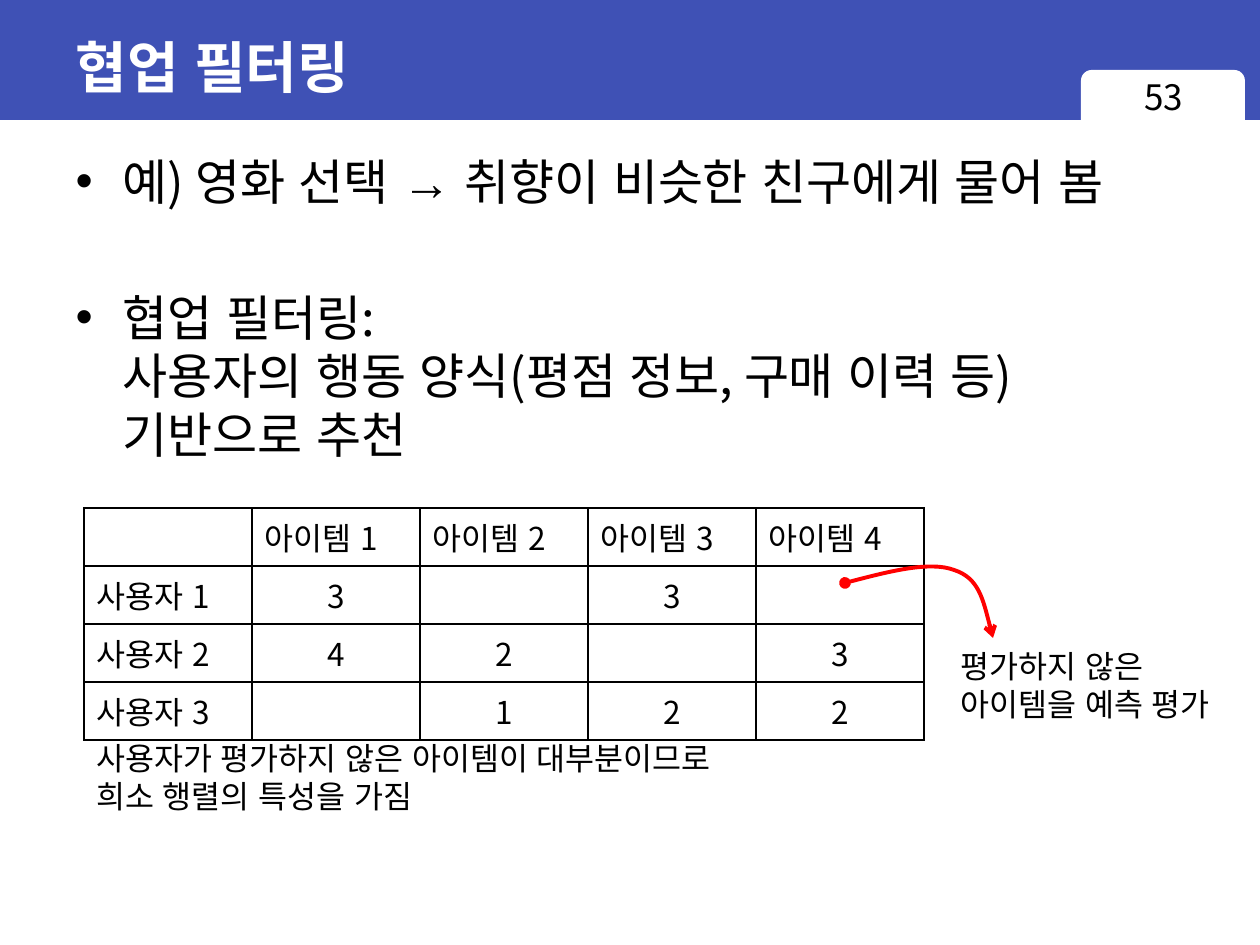
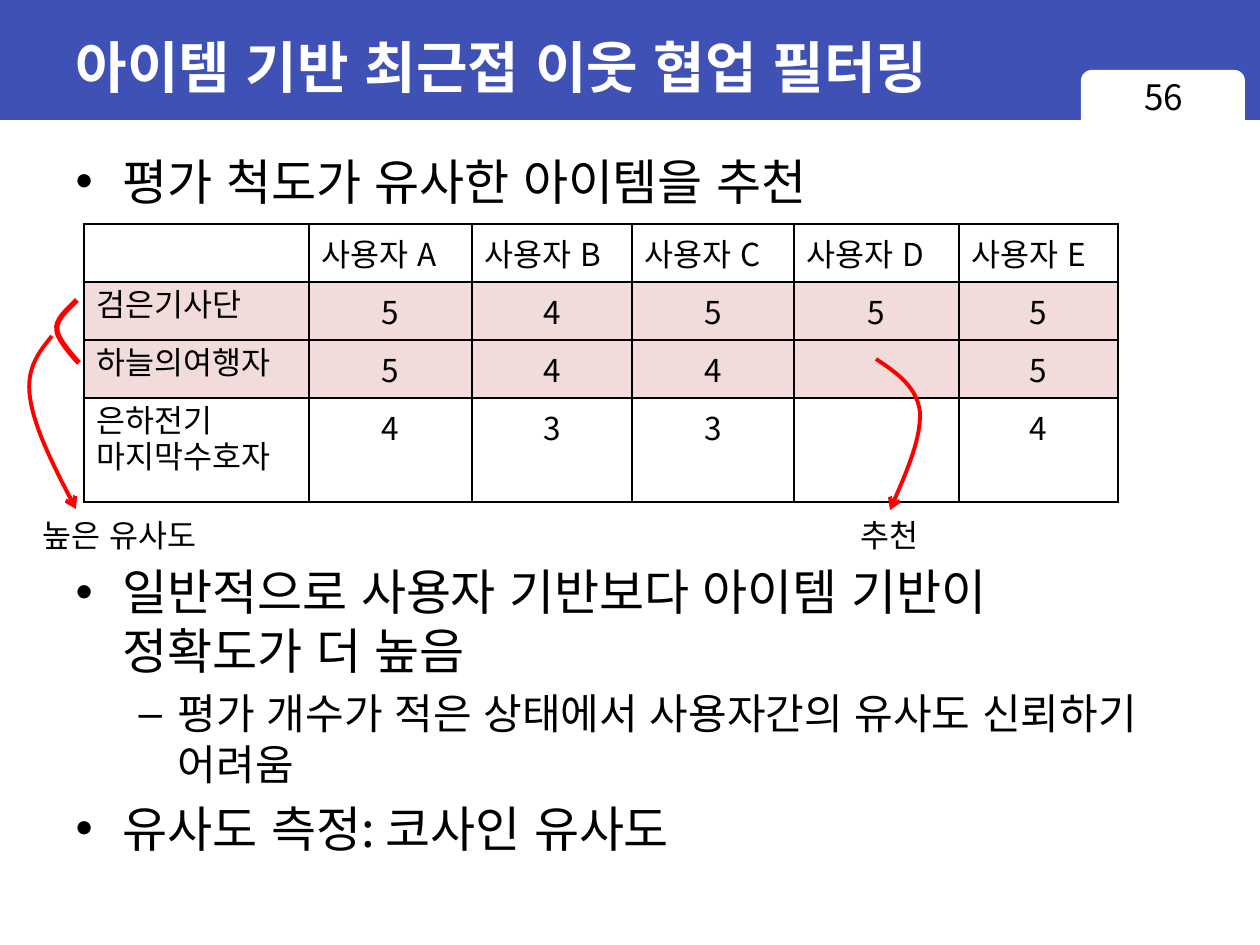
from dataclasses import dataclass, field

from lxml.etree import SubElement
from pptx import Presentation
from pptx.dml.color import RGBColor
from pptx.enum.shapes import MSO_SHAPE as Shape
from pptx.enum.text import MSO_AUTO_SIZE as AutoSize
from pptx.enum.text import PP_ALIGN as Align
from pptx.oxml.ns import qn
from pptx.util import Emu, Pt

# Shared look
SCALE = 914400 / 126
LATIN, EAST_ASIAN = "Noto Sans CJK KR", "Arial"
INDIGO, WHITE, BLACK, RED, PINK = "3F51B5", "FFFFFF", "000000", "FF0000", "F2DCDB"
TITLE = {"size": Pt(32), "bold": True, "name": "Arial"}
BULLET = {"size": Pt(28), "name": LATIN}
SUB_BULLET = {"size": Pt(24), "name": LATIN}
LABEL = {"size": Pt(18), "name": LATIN}
NUMBER = {"size": Pt(20), "name": LATIN}
ROW_HEIGHT = 58
TABLE_LEFT = 84


@dataclass
class Item:
    text: str
    level: int = 0
    gap: float | None = None


@dataclass
class Note:
    text: str
    left: int
    top: int
    width: int
    height: int


@dataclass
class Curve:
    points: list[tuple[int, int]]
    weight: float = 2.25
    head: str = ""
    tail: str = "arrow"


@dataclass
class Grid:
    top: int
    widths: list[int]
    rows: list[list[str]]
    shaded: tuple[int, ...] = ()


@dataclass
class Content:
    title: str
    number: str
    body_width: int
    items: list[Item]
    grid: Grid
    curves: list[Curve] = field(default_factory=list)
    notes: list[Note] = field(default_factory=list)


# Helpers
def px(value: float) -> Emu:
    return Emu(round(value * SCALE))


def paint(target, color: str) -> None:
    target.solid()
    target.fore_color.rgb = RGBColor.from_string(color)


def place(box, left: int, top: int, width: int, height: int) -> None:
    frame = {"left": left, "top": top, "width": width, "height": height}
    for name, value in frame.items():
        setattr(box, name, px(value))


def write(para, text: str, style: dict, color: str = BLACK) -> None:
    """Put text in a paragraph, with a line break at each newline."""
    for index, line in enumerate(text.split("\n")):
        if index:
            para.add_line_break()
        span = para.add_run()
        span.text = line
        for name, value in style.items():
            setattr(span.font, name, value)
        paint(span.font.fill, color)
        SubElement(span.font._element, qn("a:ea"), typeface=EAST_ASIAN)


def add_note(page, note: Note, style: dict = LABEL, align=Align.LEFT) -> None:
    box = page.shapes.add_textbox(*map(px, (note.left, note.top, note.width, note.height)))
    box.text_frame.word_wrap = True
    para = box.text_frame.paragraphs[0]
    para.alignment = align
    write(para, note.text, style)


def add_curve(page, curve: Curve) -> None:
    start, *rest = curve.points
    builder = page.shapes.build_freeform(*start, scale=SCALE)
    builder.add_line_segments(rest, close=False)
    shape = builder.convert_to_shape()
    shape.shadow.inherit = False
    shape.fill.background()
    paint(shape.line.fill, RED)
    shape.line.width = Pt(curve.weight)

    # Every three points after the start make one Bezier segment
    outline = next(shape._element.iter(qn("a:path")))
    segments = outline.findall(qn("a:lnTo"))
    for first in range(0, len(segments), 3):
        bezier = SubElement(outline, qn("a:cubicBezTo"))
        for segment in segments[first:first + 3]:
            bezier.append(segment[0])
            outline.remove(segment)

    line = shape.line._get_or_add_ln()
    for tag, kind in (("a:headEnd", curve.head), ("a:tailEnd", curve.tail)):
        if kind:
            SubElement(line, qn(tag), type=kind)


def add_borders(cell) -> None:
    props = cell._tc.get_or_add_tcPr()
    for side in ("lnL", "lnR", "lnT", "lnB"):
        line = SubElement(props, qn(f"a:{side}"), w=str(Pt(1)))
        fill = SubElement(line, qn("a:solidFill"))
        SubElement(fill, qn("a:srgbClr"), val=BLACK)


def add_grid(page, grid: Grid) -> None:
    heights = [104 if "\n" in row[0] else ROW_HEIGHT for row in grid.rows]
    area = (TABLE_LEFT, grid.top, sum(grid.widths), sum(heights))
    table = page.shapes.add_table(len(heights), len(grid.widths), *map(px, area)).table
    table.first_row = table.horz_banding = False
    for column, width in zip(table.columns, grid.widths):
        column.width = px(width)
    for r, (values, height) in enumerate(zip(grid.rows, heights)):
        table.rows[r].height = px(height)
        for c, value in enumerate(values):
            cell = table.cell(r, c)
            add_borders(cell)
            if r in grid.shaded:
                paint(cell.fill, PINK)
            else:
                cell.fill.background()
            if value:
                para = cell.text_frame.paragraphs[0]
                para.alignment = Align.CENTER if r and c else Align.LEFT
                write(para, value, LABEL)


def add_band(page, layout) -> None:
    """Draw the title band and number tab, then hand them to the layout."""
    parts = [(Shape.RECTANGLE, (0, 0, 1260, 120), INDIGO),
             (Shape.ROUNDED_RECTANGLE, (1081, 70, 164, 64), WHITE)]
    for index, (kind, area, color) in enumerate(parts):
        box = page.shapes.add_shape(kind, *map(px, area))
        box.shadow.inherit = False
        paint(box.fill, color)
        box.line.fill.background()
        layout.shapes._spTree.insert(2 + index, box._element)


def fill_page(page, content: Content) -> None:
    # Title and number
    title = page.shapes.title
    place(title, 63, 14, 1134, 105)
    title.text_frame.auto_size = AutoSize.NONE
    para = title.text_frame.paragraphs[0]
    para.alignment = Align.LEFT
    write(para, content.title, TITLE, WHITE)
    add_note(page, Note(content.number, 1081, 69, 165, 65), NUMBER, Align.CENTER)

    # Bullets
    body = page.placeholders[1]
    place(body, 63, 145, content.body_width, 774)
    frame = body.text_frame
    frame.auto_size = AutoSize.NONE
    for index, item in enumerate(content.items):
        para = frame.add_paragraph() if index else frame.paragraphs[0]
        para.level = item.level
        if index == 0:
            para.space_before = Pt(0)
        elif item.gap:
            para.space_before = Pt(item.gap)
        write(para, item.text, SUB_BULLET if item.level else BULLET)

    # Table with its curves and labels
    add_grid(page, content.grid)
    for curve in content.curves:
        add_curve(page, curve)
    for note in content.notes:
        add_note(page, note)


PAGES = [
    Content(
        "협업 필터링", "53", 1182,
        [Item("예) 영화 선택 → 취향이 비슷한 친구에게 물어 봄"),
         Item("협업 필터링:\n사용자의 행동 양식(평점 정보, 구매 이력 등)\n기반으로 추천", gap=44)],
        Grid(508, [168] * 5,
             [["", "아이템 1", "아이템 2", "아이템 3", "아이템 4"],
              ["사용자 1", "3", "", "3", ""],
              ["사용자 2", "4", "2", "", "3"],
              ["사용자 3", "", "1", "2", "2"]]),
        [Curve([(845, 583), (887, 572), (930, 561), (954, 570),
                (979, 578), (985, 607), (993, 638)], head="oval")],
        [Note("평가하지 않은\n아이템을 예측 평가", 948, 641, 311, 89),
         Note("사용자가 평가하지 않은 아이템이 대부분이므로\n희소 행렬의 특성을 가짐",
              TABLE_LEFT, 733, 707, 89)],
    ),
    Content(
        "아이템 기반 최근접 이웃 협업 필터링", "56", 1197,
        [Item("평가 척도가 유사한 아이템을 추천"),
         Item("일반적으로 사용자 기반보다 아이템 기반이\n정확도가 더 높음", gap=201),
         Item("평가 개수가 적은 상태에서 사용자간의 유사도 신뢰하기 어려움", level=1),
         Item("유사도 측정: 코사인 유사도")],
        Grid(224, [225, 163, 160, 162, 165, 159],
             [["", *(f"사용자 {name}" for name in "ABCDE")],
              ["검은기사단", "5", "4", "5", "5", "5"],
              ["하늘의여행자", "5", "4", "4", "", "5"],
              ["은하전기\n마지막수호자", "4", "3", "3", "", "4"]],
             shaded=(1, 2)),
        [Curve([(77, 300), (67, 310), (55, 320), (57, 330),
                (57, 340), (79, 363), (79, 363)], weight=3, tail=""),
         Curve([(52, 336), (39, 352), (26, 368), (30, 397),
                (34, 426), (54, 467), (76, 509)]),
         Curve([(876, 359), (897, 373), (917, 387), (920, 412),
                (921, 437), (906, 474), (890, 510)])],
        [Note("높은 유사도", 30, 510, 195, 50),
         Note("추천", 848, 510, 90, 50)],
    ),
]


def main() -> None:
    deck = Presentation()
    deck.slide_width, deck.slide_height = px(1260), px(945)
    layout = deck.slide_layouts[1]
    for index, content in enumerate(PAGES):
        page = deck.slides.add_slide(layout)
        if index == 0:
            add_band(page, layout)
        fill_page(page, content)
    deck.save("out.pptx")


if __name__ == "__main__":
    main()
